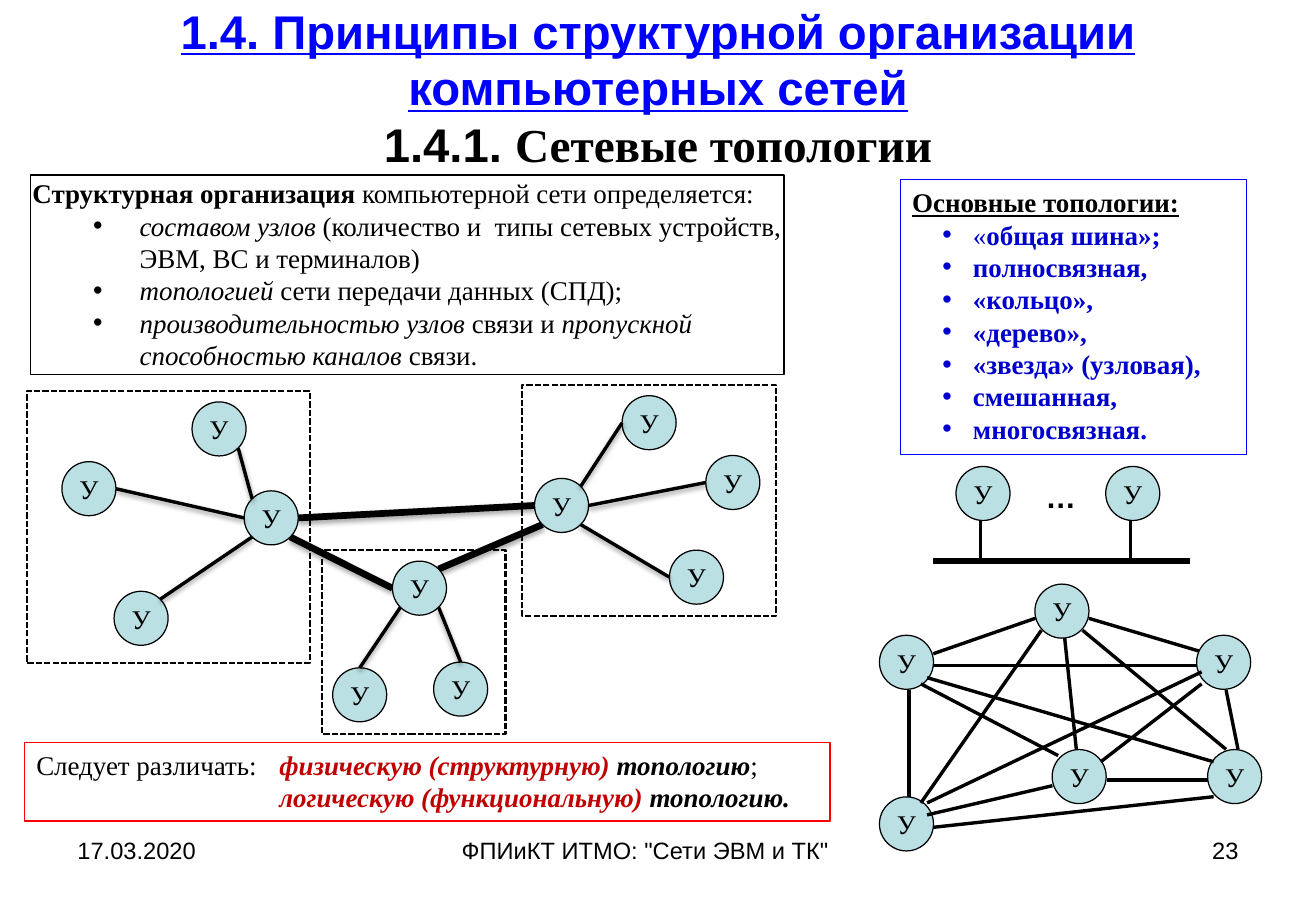
from lxml.etree import SubElement
from pptx import Presentation
from pptx.dml.color import RGBColor
from pptx.enum.dml import MSO_LINE as Dash
from pptx.enum.shapes import MSO_CONNECTOR as Wire, MSO_SHAPE as Form
from pptx.enum.text import MSO_ANCHOR as Anchor, PP_ALIGN as Align
from pptx.oxml.ns import qn
from pptx.util import Cm, Pt

SANS, SERIF = "Arial", "Times New Roman"
BLACK, BLUE, NAVY, RED, WINE, PALE = "000000", "0000FF", "0000CC", "FF0000", "C00000", "BBE0E3"
SIZE = 1.13  # node diameter
DIAG = 0.5 ** 0.5
SIDES = {"n": (0, -1), "e": (1, 0), "s": (0, 1), "w": (-1, 0),
         "ne": (DIAG, -DIAG), "se": (DIAG, DIAG), "sw": (-DIAG, DIAG), "nw": (-DIAG, -DIAG)}


def tint(code):
    """Turn a hex string into a colour."""
    return RGBColor.from_string(code)


def write(par, runs, size, font=SERIF):
    """Add runs (text, marks, colour, font); marks are letters of 'biu'."""
    for text, marks, code, *face in runs:
        if text == "\n":
            par.add_line_break()
            continue
        run = par.add_run()
        run.text = text
        look = run.font
        look.name, look.size = (face or [font])[0], Pt(size)
        look.bold, look.italic, look.underline = ("b" in marks), ("i" in marks), ("u" in marks)
        look.color.rgb = tint(code)


def indent(par, left, first=0, bullet=False):
    """Set the left indent, first-line shift and bullet of a paragraph."""
    props = par._p.get_or_add_pPr()
    props.set("marL", str(Cm(left)))
    props.set("indent", str(Cm(first)))
    if bullet:
        SubElement(props, qn("a:buFont"), typeface=SANS)
        SubElement(props, qn("a:buChar"), char="•")


def label(shapes, box, runs, size, align=Align.LEFT, anchor=Anchor.TOP):
    """Add a plain text box with one paragraph."""
    frame = shapes.add_textbox(*map(Cm, box)).text_frame
    frame.word_wrap, frame.vertical_anchor = True, anchor
    par = frame.paragraphs[0]
    par.alignment = align
    write(par, runs, size, SANS)


def outline(shapes, form, box, code, width=0.75):
    """Add an unfilled preset shape with a coloured line."""
    shape = shapes.add_shape(form, *map(Cm, box))
    shape.shadow.inherit = False
    shape.fill.background()
    shape.line.color.rgb = tint(code)
    shape.line.width = Pt(width)
    return shape


def panel(shapes, box, code, rows, inset=None):
    """Add a framed text panel; a row is (runs, indent settings)."""
    frame = outline(shapes, Form.RECTANGLE, box, code).text_frame
    frame.word_wrap, frame.vertical_anchor = True, Anchor.TOP
    if inset is not None:
        frame.margin_left = frame.margin_top = frame.margin_bottom = Cm(inset)
        frame.margin_right = 0
    for i, (runs, dent) in enumerate(rows):
        par = frame.add_paragraph() if i else frame.paragraphs[0]
        par.alignment = Align.LEFT
        indent(par, *dent)
        write(par, runs, 16)


def node(shapes, x, y):
    """Add a network node centred at a point."""
    shape = outline(shapes, Form.OVAL, (x - SIZE / 2, y - SIZE / 2, SIZE, SIZE), BLACK)
    shape.fill.solid()
    shape.fill.fore_color.rgb = tint(PALE)
    frame = shape.text_frame
    frame.word_wrap, frame.vertical_anchor = False, Anchor.MIDDLE
    frame.paragraphs[0].alignment = Align.CENTER
    write(frame.paragraphs[0], [("У", "", BLACK)], 16)


def link(shapes, start, end, width=2, shade=None):
    """Add a line; shade gives shadow distance in points and opacity in percent."""
    wire = shapes.add_connector(Wire.STRAIGHT, *map(Cm, (*start, *end)))
    wire.line.color.rgb = tint(BLACK)
    wire.line.width = Pt(width)
    effect = SubElement(wire._element.spPr, qn("a:effectLst"))
    if shade:
        dist, alpha = shade
        cast = SubElement(effect, qn("a:outerShdw"), blurRad=str(Pt(3.1)), dist=str(Pt(dist)),
                          dir="5400000", rotWithShape="0")
        ink = SubElement(cast, qn("a:srgbClr"), val=BLACK)
        SubElement(ink, qn("a:alpha"), val=str(alpha * 1000))


def rim(spot, side):
    """Return the point on a node's edge at a compass side."""
    return tuple(c + SIZE / 2 * d for c, d in zip(spot, SIDES[side]))


def star(slide, hub, leaves, box):
    """Add a dashed cluster; a leaf is (centre, its side, hub side)."""
    shapes = slide.shapes.add_group_shape().shapes
    for spot in [hub] + [leaf[0] for leaf in leaves]:
        node(shapes, *spot)
    for spot, side, port in leaves:
        link(shapes, rim(spot, side), rim(hub, port), shade=(1.6, 38))
    outline(shapes, Form.RECTANGLE, box, BLACK, 1.25).line.dash_style = Dash.SQUARE_DOT


def draw_bus(shapes):
    """Draw the shared bus with two nodes."""
    for x in (20.55, 23.68):
        node(shapes, x, 10.32)
        link(shapes, (x - 0.05, 10.87), (x - 0.05, 11.73))
    link(shapes, (19.51, 11.73), (24.87, 11.73), 4)
    label(shapes, (21.49, 9.88, 1.37, 1.02), [("…", "b", BLACK)], 18, Align.CENTER)


def draw_mesh(shapes):
    """Draw the fully connected network."""
    back = [(25.15, 13.64, 22.76, 12.93), (22.5, 15.67, 22.25, 13.28)]
    front = [(19.51, 13.67, 21.64, 12.93), (19.51, 13.92, 25.02, 13.92),
             (19.38, 14.17, 25.37, 15.93), (19.25, 14.3, 22.12, 15.8),
             (19, 14.43, 19, 16.66), (19.51, 17.3, 25.37, 16.66),
             (19.38, 17.04, 22, 16.43), (19.38, 16.79, 25.12, 14.05),
             (19.25, 16.79, 21.77, 13.18), (23.14, 16.31, 25.25, 16.31),
             (23.01, 15.93, 25.12, 14.3), (22.63, 13.18, 25.63, 15.67),
             (25.63, 14.43, 25.88, 15.67)]
    for ends in back:
        link(shapes, ends[:2], ends[2:])
    for spot in [(18.95, 13.85), (22.2, 12.78), (18.95, 17.23),
                 (22.56, 16.24), (25.58, 13.85), (25.81, 16.24)]:
        node(shapes, *spot)
    for ends in front:
        link(shapes, ends[:2], ends[2:])


def draw_mix(slide):
    """Draw three star clusters joined by thick trunks."""
    west, south, east = (5.67, 10.83), (8.77, 12.3), (11.74, 10.57)
    trunks = slide.shapes.add_group_shape().shapes
    for a, out, b, into in [(west, "e", east, "w"), (east, "sw", south, "ne"),
                            (west, "se", south, "w")]:
        link(trunks, rim(a, out), rim(b, into), 4, (1.8, 35))
    star(slide, west, [((4.58, 8.97), "se", "nw"), ((1.86, 10.22), "e", "w"),
                       ((2.95, 12.93), "ne", "sw")], (0.56, 8.18, 5.92, 5.69))
    star(slide, south, [((7.52, 14.53), "n", "sw"), ((9.63, 14.41), "n", "se")],
         (6.73, 11.51, 3.84, 3.84))
    star(slide, east, [((13.57, 8.84), "w", "ne"), ((15.32, 10.09), "w", "e"),
                       ((14.56, 12.07), "w", "se")], (10.92, 8.05, 5.31, 4.83))


def draw_text(shapes):
    """Add the title, footer and text panels."""
    label(shapes, (1.37, 0.23, 24.77, 3.18),
          [("1.4. Принципы структурной организации компьютерных сетей", "bu", BLUE),
           ("\n", "", BLUE), ("1.4.1. ", "b", BLACK), ("Сетевые топологии", "b", BLACK, SERIF)],
          28, Align.CENTER, Anchor.MIDDLE)
    for left, width, text, align in [(1.37, 6.43, "17.03.2020", Align.LEFT),
                                     (9.4, 8.71, 'ФПИиКТ ИТМО: "Сети ЭВМ и ТК"', Align.LEFT),
                                     (19.71, 6.43, "23", Align.RIGHT)]:
        label(shapes, (left, 17.35, width, 1.32), [(text, "", BLACK)], 14, align)

    kinds = ["полносвязная,", "«кольцо»,", "«дерево»,", "«звезда» (узловая),",
             "смешанная,", "многосвязная."]
    dot = (1.27, -0.64, True)
    panel(shapes, (18.82, 3.76, 7.24, 5.74), BLUE,
          [([("Основные топологии:", "bu", BLACK)], (0,)),
           ([("«", "", NAVY), ("общая шина»;", "b", NAVY)], dot)]
          + [([(kind, "b", NAVY)], dot) for kind in kinds])

    panel(shapes, (0.51, 15.52, 16.84, 1.65), RED,
          [([("Следует различать:\t", "", BLACK), ("физическую (структурную) ", "bi", WINE),
             ("топологию", "bi", BLACK), (";", "", BLACK)], (0,)),
           ([("логическую (функциональную) ", "bi", WINE),
             ("топологию.", "bi", BLACK)], (5.08,))])

    dot = (2.24, -0.97, True)
    panel(shapes, (0.64, 3.66, 15.75, 4.17), BLACK,
          [([("Структурная организация ", "b", BLACK),
             ("компьютерной сети определяется:", "", BLACK)], (0.97, -0.97)),
           ([("составом узлов", "i", BLACK),
             (" (количество и  типы сетевых устройств, ЭВМ, ВС и терминалов)", "", BLACK)], dot),
           ([("топологией ", "i", BLACK), ("сети передачи данных (СПД);", "", BLACK)], dot),
           ([("производительностью узлов", "i", BLACK), (" связи и ", "", BLACK),
             ("пропускной способностью каналов ", "i", BLACK), ("связи.", "", BLACK)], dot)],
          0.04)


def main():
    """Build the slide and save it."""
    deck = Presentation()
    deck.slide_width, deck.slide_height = Cm(27.51), Cm(19.05)
    slide = deck.slides.add_slide(deck.slide_layouts[6])
    draw_text(slide.shapes)
    draw_bus(slide.shapes)
    draw_mesh(slide.shapes)
    draw_mix(slide)
    deck.save("out.pptx")


main()
